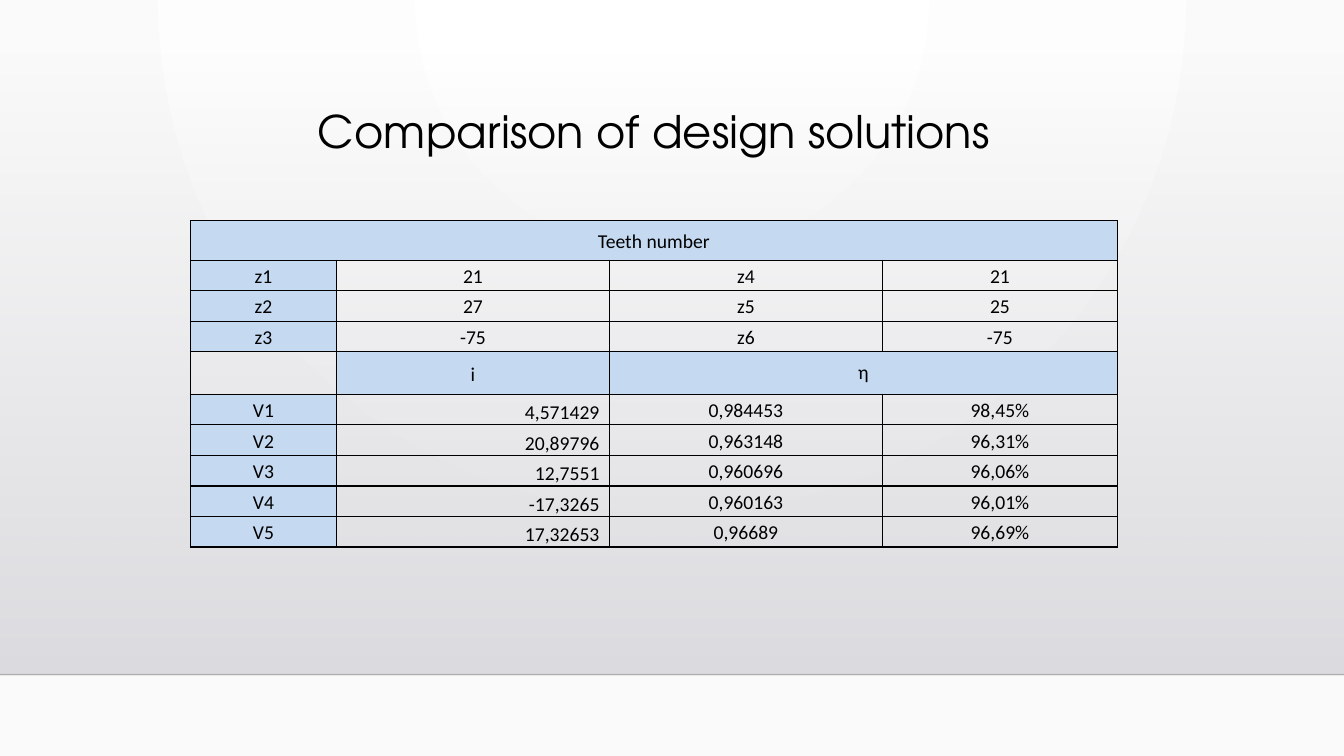
from lxml.etree import SubElement
from pptx import Presentation
from pptx.dml.color import RGBColor
from pptx.enum.shapes import MSO_CONNECTOR, MSO_SHAPE
from pptx.enum.text import MSO_ANCHOR, PP_ALIGN
from pptx.oxml.ns import qn
from pptx.util import Cm, Pt

THEME = {
    "ink": RGBColor.from_string("000000"),
    "label": RGBColor.from_string("C5D9F1"),
    "horizon": RGBColor.from_string("000001"),
    "backdrop": [("FFFFFF", 100), ("FAFAFA", 100)],
    "floor": [("DCDCE0", 0), ("DEDEE2", 100)],
    "title": {"name": "TeX Gyre Adventor", "size": Pt(32)},
    "body": {"name": "Calibri", "size": Pt(14)},
    "rule": Pt(1),
}


def set_gradient(holder, stops):
    """Replace the stops and direction of a gradient; return its element."""
    gradient = holder.find(".//" + qn("a:gradFill"))
    for child in list(gradient):
        gradient.remove(child)
    stop_list = SubElement(gradient, qn("a:gsLst"))
    for position, (colour, opacity) in enumerate(stops):
        stop = SubElement(stop_list, qn("a:gs"), pos=str(position * 100000))
        tint = SubElement(stop, qn("a:srgbClr"), val=colour)
        SubElement(tint, qn("a:alpha"), val=str(opacity * 1000))
    return gradient


def write(para, text, style, align, line_spacing, space_after):
    layout = {"alignment": align, "line_spacing": line_spacing, "space_after": space_after}
    for name, value in layout.items():
        setattr(para, name, value)
    span = para.add_run()
    span.text = text
    for name, value in THEME[style].items():
        setattr(span.font, name, value)
    span.font.color.rgb = THEME["ink"]


deck = Presentation()
deck.slide_width, deck.slide_height = Cm(33.87), Cm(19.05)
page = deck.slides.add_slide(deck.slide_layouts[6])

# Background with a circular glow from the top centre
page.background.fill.gradient()
glow = set_gradient(page.element, THEME["backdrop"])
circle = SubElement(glow, qn("a:path"), path="circle")
SubElement(circle, qn("a:fillToRect"), l="43000", t="0", r="43000", b="100000")

# Wall that fades in downwards, and the line below it
wall = page.shapes.add_shape(MSO_SHAPE.RECTANGLE, 0, Cm(1.3), deck.slide_width, Cm(15.7))
wall.shadow.inherit = False
wall.line.fill.background()
wall.fill.gradient()
fade = set_gradient(wall.element, THEME["floor"])
SubElement(fade, qn("a:lin"), ang="5400000", scaled="0")

horizon = page.shapes.add_connector(
    MSO_CONNECTOR.STRAIGHT, 0, Cm(17), deck.slide_width, Cm(17))
horizon.line.width = THEME["rule"]
horizon.line.color.rgb = THEME["horizon"]
tint = horizon.element.spPr.find(".//" + qn("a:srgbClr"))
SubElement(tint, qn("a:alpha"), val="20000")
SubElement(horizon.element.spPr, qn("a:effectLst"))

# Title
box = page.shapes.add_textbox(Cm(3.15), Cm(2.64), Cm(26.67), Cm(2.92))
box.text_frame.word_wrap = True
write(box.text_frame.paragraphs[0], "Comparison of design solutions", "title",
      PP_ALIGN.CENTER, 0.9, Pt(0))

# Table of teeth numbers, ratios and efficiencies
ROWS = [
    ["Teeth number", "", "", ""],
    ["z1", "21", "z4", "21"],
    ["z2", "27", "z5", "25"],
    ["z3", "-75", "z6", "-75"],
    ["", "i", "η", ""],
    ["V1", "4,571429", "0,984453", "98,45%"],
    ["V2", "20,89796", "0,963148", "96,31%"],
    ["V3", "12,7551", "0,960696", "96,06%"],
    ["V4", "-17,3265", "0,960163", "96,01%"],
    ["V5", "17,32653", "0,96689", "96,69%"],
]
TEETH_ROW, RATIO_ROW = 0, 4
COLUMN_WIDTHS = [3.68, 6.88, 6.88, 5.92]
HEADING_HEIGHTS = {TEETH_ROW: 0.97, RATIO_ROW: 1.07}
ROW_HEIGHT = 0.77
MERGED = {(TEETH_ROW, 0), (RATIO_ROW, 2)}
TIGHT = {"margin_left": Cm(0.25), "margin_right": Cm(0.25),
         "margin_top": Cm(0.02), "margin_bottom": Cm(0)}
ROOMY = {"margin_left": Cm(0.33), "margin_right": Cm(0.33),
         "margin_top": Cm(0.18), "margin_bottom": Cm(0.18)}

heights = [HEADING_HEIGHTS.get(index, ROW_HEIGHT) for index in range(len(ROWS))]
table = page.shapes.add_table(
    len(ROWS), len(COLUMN_WIDTHS), Cm(4.8), Cm(5.56),
    Cm(sum(COLUMN_WIDTHS)), Cm(sum(heights))).table
table.first_row = table.horz_banding = False
for column, width in zip(table.columns, COLUMN_WIDTHS):
    column.width = Cm(width)
for row, height in zip(table.rows, heights):
    row.height = Cm(height)

for row, texts in enumerate(ROWS):
    for column, text in enumerate(texts):
        cell = table.cell(row, column)
        properties = cell._tc.get_or_add_tcPr()
        for side in ("a:lnL", "a:lnR", "a:lnT", "a:lnB"):
            border = SubElement(properties, qn(side), w=str(THEME["rule"]))
            paint = SubElement(border, qn("a:solidFill"))
            SubElement(paint, qn("a:srgbClr"), val=str(THEME["ink"]))

        if text and (column == 0 or row in HEADING_HEIGHTS):
            cell.fill.solid()
            cell.fill.fore_color.rgb = THEME["label"]
        else:
            cell.fill.background()
        if not text:
            continue

        merged = (row, column) in MERGED
        is_ratio = column == 1 and row > RATIO_ROW
        anchor = MSO_ANCHOR.BOTTOM if is_ratio else MSO_ANCHOR.MIDDLE
        frame = {**(ROOMY if merged else TIGHT),
                 "vertical_anchor": MSO_ANCHOR.TOP if merged else anchor}
        for name, value in frame.items():
            setattr(cell, name, value)
        write(cell.text_frame.paragraphs[0], text, "body",
              PP_ALIGN.RIGHT if is_ratio else PP_ALIGN.CENTER, 1.07, Pt(8))

for row, column in MERGED:
    table.cell(row, column).merge(table.cell(row, len(COLUMN_WIDTHS) - 1))

deck.save("out.pptx")
